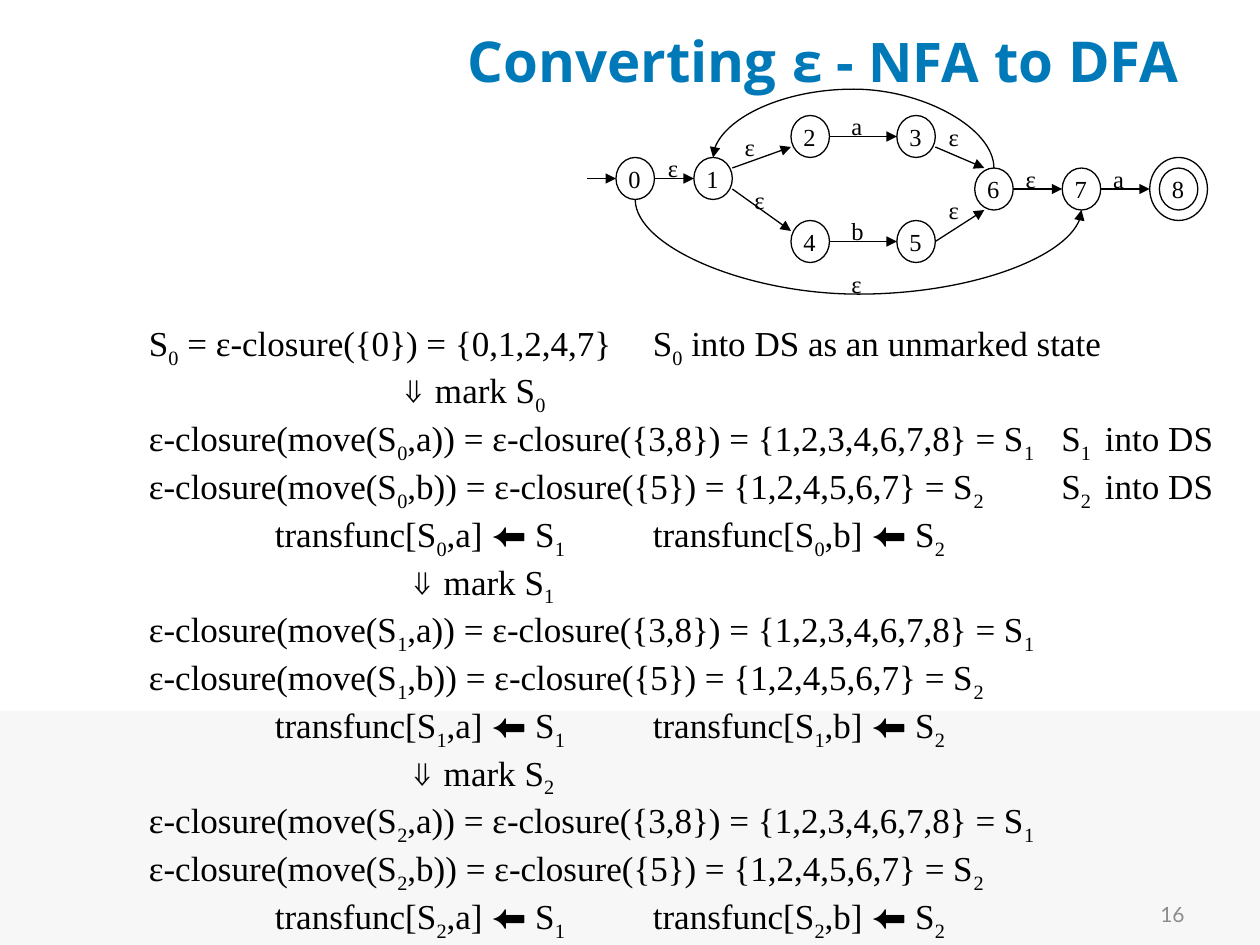
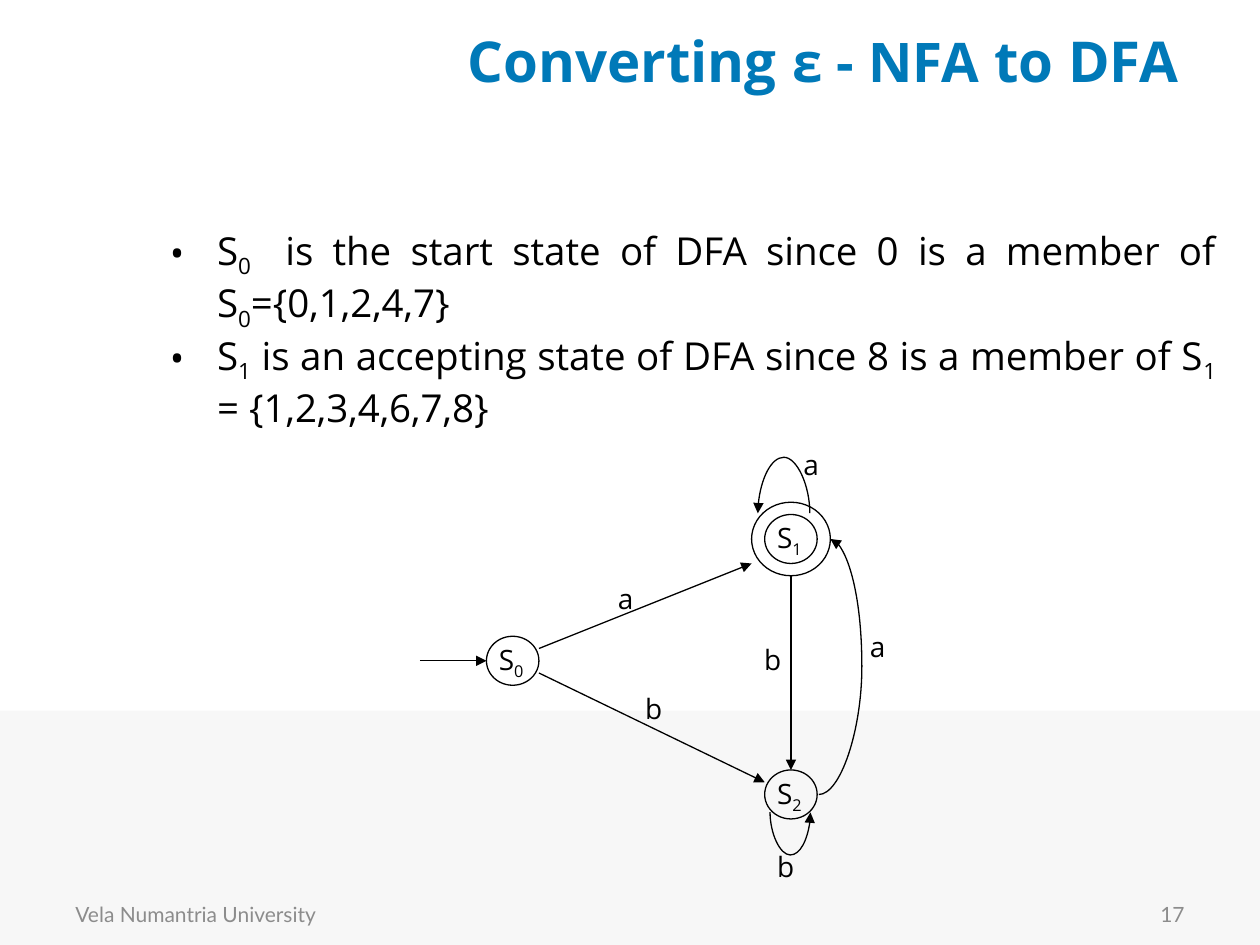
from dataclasses import dataclass
from typing import NamedTuple, Optional

from pptx import Presentation
from pptx.dml.color import RGBColor
from pptx.enum.shapes import MSO_CONNECTOR, MSO_SHAPE
from pptx.enum.text import MSO_ANCHOR, MSO_AUTO_SIZE, PP_ALIGN
from pptx.oxml.ns import qn
from pptx.oxml.xmlchemy import OxmlElement
from pptx.util import Pt

RECTANGLE, OVAL = MSO_SHAPE.RECTANGLE, MSO_SHAPE.OVAL
STRAIGHT, CURVE = MSO_CONNECTOR.STRAIGHT, MSO_CONNECTOR.CURVE
TOP, MIDDLE = MSO_ANCHOR.TOP, MSO_ANCHOR.MIDDLE
LEFT, CENTER, RIGHT, JUSTIFY = PP_ALIGN.LEFT, PP_ALIGN.CENTER, PP_ALIGN.RIGHT, PP_ALIGN.JUSTIFY
FIT_SHAPE = MSO_AUTO_SIZE.SHAPE_TO_FIT_TEXT


class TextStyle(NamedTuple):
    font: str
    size: float
    color: RGBColor
    bold: bool = False


@dataclass(frozen=True)
class Theme:
    ink: RGBColor = RGBColor(0, 0, 0)
    blue: RGBColor = RGBColor(0x00, 0x79, 0xB8)
    gray: RGBColor = RGBColor(0x8C, 0x8C, 0x8C)
    band: RGBColor = RGBColor(0xF7, 0xF7, 0xF7)
    sans: str = "Open Sans"
    serif: str = "Times New Roman"
    footer_font: str = "Lato"
    line: float = 0.75
    subscript: str = "-25000"

    def title(self, size: float, color: RGBColor) -> TextStyle:
        return TextStyle(self.sans, size, color, True)


THEME = Theme()
FOOTER = TextStyle(THEME.footer_font, 12, THEME.gray)
STEPS = TextStyle(THEME.serif, 20, THEME.ink)
BULLETS = TextStyle(THEME.sans, 22, THEME.ink)
STEP_TABS = (72, 144, 216, 288, 521.5)
TITLE = [
    ("Converting", THEME.title(32.2, THEME.blue)),
    (" ", THEME.title(35.1, THEME.ink)),
    ("ε - NFA", THEME.title(31.2, THEME.blue)),
    (" to DFA", THEME.title(32.2, THEME.blue)),
]


class Box(NamedTuple):
    left: float
    top: float
    width: float
    height: float

    def lengths(self) -> list:
        return [Pt(value) for value in self]


class Node(NamedTuple):
    text: str
    left: float
    top: float
    accepting: bool = False


class Anchor(NamedTuple):
    """A spot given as fractions of a node's width and height."""
    node: str
    across: float
    down: float


class Arrow(NamedTuple):
    start: Anchor
    end: Anchor
    bend: Optional[float] = None  # coordinate of the farthest point of a curve
    sideways: bool = False        # the curve bulges horizontally


class Label(NamedTuple):
    text: str
    left: float
    top: float


@dataclass(frozen=True)
class Automaton:
    width: float
    height: float
    style: TextStyle
    label_size: tuple
    node_label_width: float
    nodes: list
    arrows: list
    labels: list

    def place(self, anchor: Anchor) -> tuple:
        node = next(node for node in self.nodes if node.text == anchor.node)
        return node.left + anchor.across * self.width, node.top + anchor.down * self.height


# Text
def style_run(span, style: TextStyle) -> None:
    span.font.name, span.font.size = style.font, Pt(style.size)
    span.font.bold, span.font.color.rgb = style.bold, style.color


def add_text(page, box: Box, lines: list, style: TextStyle, align=LEFT,
             anchor=TOP, wrap: bool = True, fit: bool = False):
    """Write lines in which every second part between bars is a subscript."""
    frame = page.shapes.add_textbox(*box.lengths()).text_frame
    frame.word_wrap, frame.vertical_anchor = wrap, anchor
    if fit:
        frame.auto_size = FIT_SHAPE
    for number, line in enumerate(lines):
        para = frame.add_paragraph() if number else frame.paragraphs[0]
        para.alignment = align
        for index, part in enumerate(line.split("|")):
            if part:
                span = para.add_run()
                span.text = part
                style_run(span, style)
                if index % 2:
                    span.font._element.set("baseline", THEME.subscript)
    return frame


def add_bullet(para, indent: float) -> None:
    props = para._p.get_or_add_pPr()
    props.set("marL", str(Pt(indent)))
    props.set("indent", str(-Pt(indent)))
    font, bullet = OxmlElement("a:buFont"), OxmlElement("a:buChar")
    font.set("typeface", THEME.sans)
    bullet.set("char", "•")
    props.extend([font, bullet])


def add_tab_stops(para, positions: tuple) -> None:
    stops = OxmlElement("a:tabLst")
    for position in positions:
        stop = OxmlElement("a:tab")
        stop.set("pos", str(Pt(position)))
        stop.set("algn", "l")
        stops.append(stop)
    para._p.get_or_add_pPr().append(stops)


# Diagrams
def add_oval(page, box: Box) -> None:
    oval = page.shapes.add_shape(OVAL, *box.lengths())
    oval.shadow.inherit = False
    oval.fill.background()
    oval.line.color.rgb, oval.line.width = THEME.ink, Pt(THEME.line)


def bend_connector(connector, start: tuple, end: tuple, arrow: Arrow) -> None:
    axis = 0 if arrow.sideways else 1
    ratio = (arrow.bend - start[axis]) / (end[axis] - start[axis])
    guide = OxmlElement("a:gd")
    guide.set("name", "adj1")
    guide.set("fmla", f"val {round(ratio * 100000)}")
    connector._element.spPr.find(qn("a:prstGeom")).get_or_add_avLst().append(guide)
    if arrow.sideways:
        return
    # A curve that leaves vertically is a quarter turn of one that leaves sideways
    across, down = end[0] - start[0], end[1] - start[1]
    middle = (start[0] + end[0]) / 2, (start[1] + end[1]) / 2
    width, height = abs(down), abs(across)
    box = Box(middle[0] - width / 2, middle[1] - height / 2, width, height)
    connector.left, connector.top, connector.width, connector.height = box.lengths()
    frame = connector._element.spPr.find(qn("a:xfrm"))
    frame.set("rot", str((270 if down > 0 else 90) * 60000))
    frame.set("flipH", "1")
    frame.set("flipV", "1" if (across < 0) == (down > 0) else "0")


def add_arrow(page, automaton: Automaton, arrow: Arrow) -> None:
    start, end = automaton.place(arrow.start), automaton.place(arrow.end)
    curved = arrow.bend is not None
    if curved and start[1] == end[1]:
        end = end[0], end[1] + 0.15  # a bend needs some extent to scale with
    connector = page.shapes.add_connector(
        CURVE if curved else STRAIGHT, *[Pt(value) for value in start + end])
    connector.line.color.rgb, connector.line.width = THEME.ink, Pt(THEME.line)
    if curved:
        bend_connector(connector, start, end, arrow)
    head = OxmlElement("a:tailEnd")
    head.set("type", "triangle")
    connector.line._get_or_add_ln().append(head)
    connector._element.spPr.append(OxmlElement("a:effectLst"))


def add_automaton(page, automaton: Automaton) -> None:
    width, height = automaton.width, automaton.height
    label_width, label_height = automaton.label_size
    for node in automaton.nodes:
        if node.accepting:
            add_oval(page, Box(node.left - width / 4, node.top - height / 4,
                               width * 1.5, height * 1.5))
        add_oval(page, Box(node.left, node.top, width, height))
    for arrow in automaton.arrows:
        add_arrow(page, automaton, arrow)
    captions = [(node.text, node.left, node.top, automaton.node_label_width)
                for node in automaton.nodes]
    captions += [(*label, label_width) for label in automaton.labels]
    for text, left, top, text_width in captions:
        add_text(page, Box(left, top, text_width, label_height), [text],
                 automaton.style, wrap=False, fit=True)


NFA = Automaton(
    22, 24, TextStyle(THEME.serif, 14, THEME.ink), (20, 24), 21,
    nodes=[Node("0", 352, 90), Node("1", 396.5, 90), Node("2", 452, 66),
           Node("3", 512.5, 66), Node("4", 452, 126), Node("5", 512.5, 126),
           Node("6", 557, 96), Node("7", 607, 96), Node("8", 662.5, 96, True)],
    arrows=[
        Arrow(Anchor("0", -0.75, 0.5), Anchor("0", 0, 0.5)),
        *[Arrow(Anchor(tail, 1, 0.5), Anchor(head, 0, 0.5))
          for tail, head in ("01", "23", "45", "67")],
        Arrow(Anchor("7", 1, 0.5), Anchor("8", -0.25, 0.5)),
        Arrow(Anchor("1", 1, 0.25), Anchor("2", 0, 0.75)),
        Arrow(Anchor("1", 1, 0.75), Anchor("4", 0, 0.25)),
        Arrow(Anchor("3", 1, 0.75), Anchor("6", 0.25, 0)),
        Arrow(Anchor("5", 1, 0.5), Anchor("6", 0.25, 1)),
        Arrow(Anchor("6", 0.5, 0), Anchor("1", 0.5, 0), 51),
        Arrow(Anchor("0", 0.5, 1), Anchor("7", 0.5, 1), 168),
    ],
    labels=[Label("a", 479.5, 60), Label("b", 479.5, 120), Label("a", 629, 90),
            *[Label("ε", left, top) for left, top in (
                (374.5, 84), (418.5, 72), (424, 102), (535, 66),
                (535, 108), (579, 90), (479.5, 150))]],
)

DFA = Automaton(
    30, 28, TextStyle(THEME.sans, 16, THEME.ink), (24, 26.6), 31,
    nodes=[Node("S|0", 278, 363.6), Node("S|1", 437, 294, True), Node("S|2", 437, 440)],
    arrows=[
        Arrow(Anchor("S|0", -1.27, 0.5), Anchor("S|0", 0, 0.5)),
        Arrow(Anchor("S|0", 1, 0.25), Anchor("S|1", -0.25, 1)),
        Arrow(Anchor("S|0", 1, 0.75), Anchor("S|2", 0, 0.25)),
        Arrow(Anchor("S|1", 0.5, 1.25), Anchor("S|2", 0.5, 0)),
        Arrow(Anchor("S|1", 0.86, -0.03), Anchor("S|1", -0.13, -0.03), 259.4),
        Arrow(Anchor("S|2", 0.1, 0.86), Anchor("S|2", 0.87, 0.86), 490),
        Arrow(Anchor("S|2", 1.03, 0.5), Anchor("S|1", 1.25, 0.5), 492.5, True),
    ],
    labels=[Label("a", 346, 329), Label("b", 361.5, 391.7), Label("b", 429.5, 363.6),
            Label("a", 490, 356.4), Label("a", 452, 252), Label("b", 437, 482)],
)


# Pages
def add_page(deck, number: int, footer: str = ""):
    page = deck.slides.add_slide(deck.slide_layouts[6])
    band = page.shapes.add_shape(RECTANGLE, *Box(0, 406, 720, 134).lengths())
    band.shadow.inherit = False
    band.fill.solid()
    band.fill.fore_color.rgb = THEME.band
    band.line.fill.background()
    para = add_text(page, Box(234, 12, 472.5, 48), [""], FOOTER, CENTER, MIDDLE).paragraphs[0]
    para.line_spacing = 0.9
    for text, style in TITLE:
        span = para.add_run()
        span.text = text
        style_run(span, style)
    if footer:
        add_text(page, Box(36, 508, 168, 28.75), [footer], FOOTER, anchor=MIDDLE)
    add_text(page, Box(516, 508, 168, 28.75), [str(number)], FOOTER, RIGHT, MIDDLE)
    return page


def subset_steps() -> list:
    lines = ["S|0| = ε-closure({0}) = {0,1,2,4,7} \tS|0| into DS as an unmarked state"]
    for state in range(3):
        first = state == 0
        lines += [
            f"\t\t{'' if first else ' '}⇓ mark S|{state}",
            f"ε-closure(move(S|{state}|,a)) = ε-closure({{3,8}}) = {{1,2,3,4,6,7,8}} = S|1"
            + ("|\tS|1 | into DS" if first else ""),
            f"ε-closure(move(S|{state}|,b)) = ε-closure({{5}}) = {{1,2,4,5,6,7}} = S|2"
            + ("|\tS|2 | into DS" if first else ""),
            f"\ttransfunc[S|{state}|,a] ⬅ S|1 \t|transfunc[S|{state}|,b] ⬅ S|2",
        ]
    return lines


def add_construction_page(deck) -> None:
    page = add_page(deck, 16)
    add_automaton(page, NFA)
    frame = add_text(page, Box(78, 180, 640, 346.3), subset_steps(), STEPS, fit=True)
    for para in frame.paragraphs:
        add_tab_stops(para, STEP_TABS)


def add_result_page(deck) -> None:
    page = add_page(deck, 17, "Vela Numantria University")
    frame = add_text(page, Box(90, 126, 612, 113.8), [
        "S|0 | is the start state of DFA since 0 is a member of S|0|={0,1,2,4,7}",
        "S|1| is an accepting state of DFA since 8 is a member of S|1 |= {1,2,3,4,6,7,8}",
    ], BULLETS, JUSTIFY, fit=True)
    for para in frame.paragraphs:
        add_bullet(para, 27)
    add_automaton(page, DFA)


def main() -> None:
    deck = Presentation()
    deck.slide_width, deck.slide_height = Pt(720), Pt(540)
    add_construction_page(deck)
    add_result_page(deck)
    deck.save("out.pptx")


if __name__ == "__main__":
    main()
